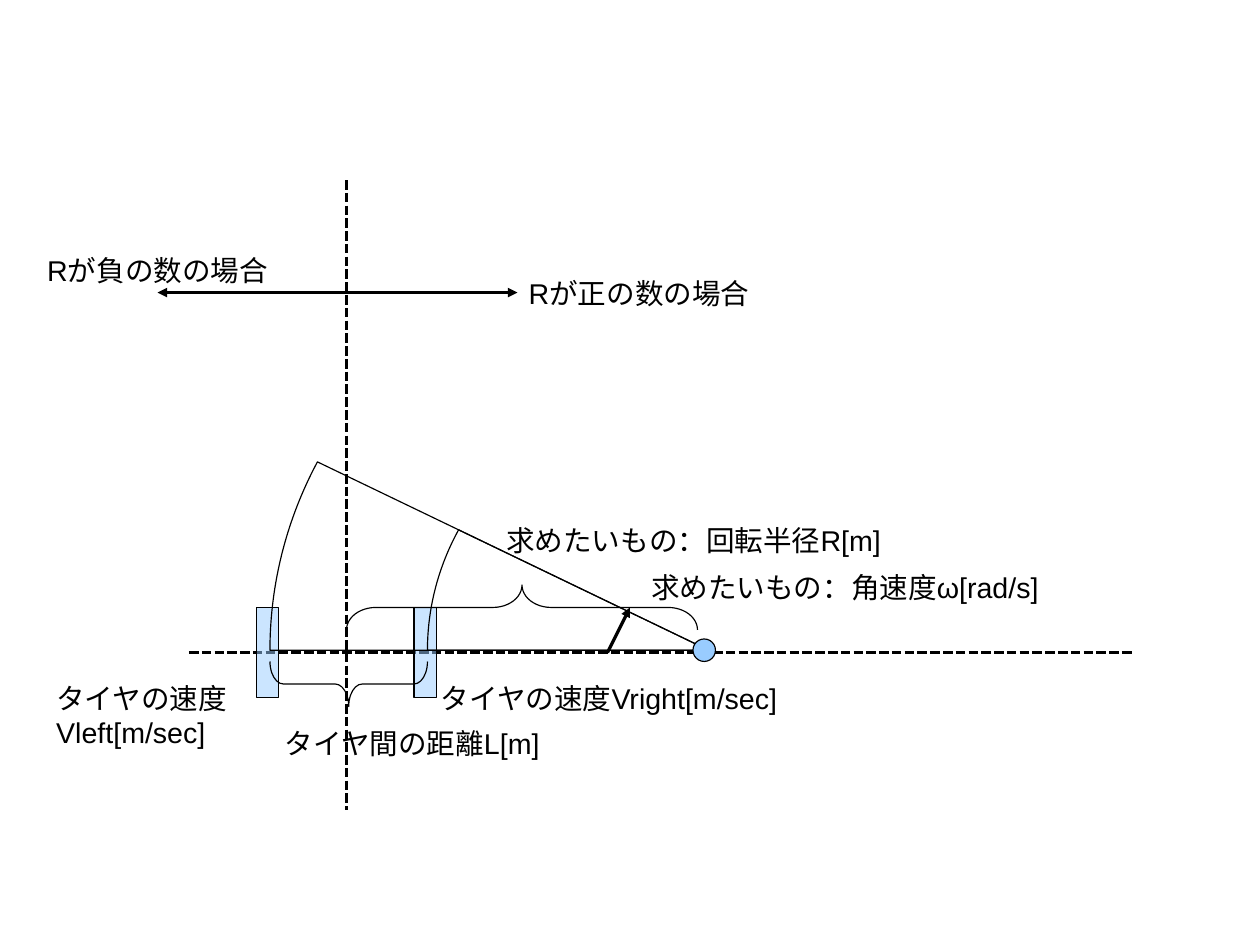
from lxml import etree
from pptx import Presentation
from pptx import util as u
from pptx.dml.color import RGBColor
from pptx.enum import dml, shapes, text
from pptx.oxml.ns import qn

SHAPE = shapes.MSO_SHAPE


def color(hex_code):
    return RGBColor.from_string(hex_code)


class Diagram:
    font = "Arial"
    size = u.Pt(18)
    ink = "000000"
    blue = "99CCFF"
    hairline = u.Pt(0)

    def __init__(self, slide):
        self.slide = slide

    def outline(self, item):
        item.line.color.rgb = color(self.ink)
        item.line.width = self.hairline

    def line(self, start, end, dashed=False, arrow=False):
        ends = [u.Cm(v) for v in (*start, *end)]
        connector = self.slide.shapes.add_connector(shapes.MSO_CONNECTOR.STRAIGHT, *ends)
        self.outline(connector)
        if dashed:
            connector.line.dash_style = dml.MSO_LINE.SQUARE_DOT
        if arrow:
            etree.SubElement(connector.line._get_or_add_ln(), qn("a:tailEnd"), type="triangle")
        etree.SubElement(connector._element.spPr, qn("a:effectLst"))

    def shape(self, kind, left, top, width, height, fill=None, opacity=100,
              adjustments=(), rotation=0):
        box = [u.Cm(v) for v in (left, top, width, height)]
        item = self.slide.shapes.add_shape(kind, *box)
        item.shadow.inherit = False
        item.rotation = rotation
        for i, value in enumerate(adjustments):
            item.adjustments[i] = value
        if fill:
            item.fill.solid()
            item.fill.fore_color.rgb = color(fill)
            if opacity < 100:
                tone = item._element.spPr.find(qn("a:solidFill"))[0]
                etree.SubElement(tone, qn("a:alpha"), val=str(opacity * 1000))
        else:
            item.fill.background()
        self.outline(item)

    def sector(self, center, radius_x, radius_y, sweep):
        """Draw a pie slice that opens clockwise from the left."""
        x, y = center
        # Angles are stored in 60000ths of a degree, adjustments in 100000ths
        angles = [degrees * 0.6 for degrees in (180, 180 + sweep)]
        self.shape(SHAPE.PIE, x - radius_x, y - radius_y, 2 * radius_x, 2 * radius_y,
                   adjustments=angles)

    def brace(self, left, top, length, depth, curve, rotation):
        """Draw a horizontal brace: rotation 90 points up, 270 points down."""
        self.shape(SHAPE.LEFT_BRACE, left + (length - depth) / 2, top + (depth - length) / 2,
                   depth, length, adjustments=(curve, 0.5), rotation=rotation)

    def label(self, words, left, top, width, height=1.17, wrap=False):
        box = [u.Cm(v) for v in (left, top, width, height)]
        frame = self.slide.shapes.add_textbox(*box).text_frame
        frame.word_wrap = wrap
        frame.auto_size = text.MSO_AUTO_SIZE.SHAPE_TO_FIT_TEXT
        paragraph = frame.paragraphs[0]
        paragraph.text = words
        paragraph.font.name = self.font
        paragraph.font.size = self.size
        paragraph.font.color.rgb = color(self.ink)


def main():
    deck = Presentation()
    deck.slide_width, deck.slide_height = u.Cm(28), u.Cm(21)
    diagram = Diagram(deck.slides.add_slide(deck.slide_layouts[6]))

    # Axes of the robot
    axis_x, axle_y = 7.7, 14.5
    diagram.line((axis_x, 4), (axis_x, 18), dashed=True)
    diagram.line((4.2, axle_y), (25.2, axle_y), dashed=True)

    # Wheels
    for wheel_left in (5.7, 9.2):
        diagram.shape(SHAPE.RECTANGLE, wheel_left, 13.5, 0.5, 2, diagram.blue, opacity=50)

    # Paths of the wheels around the turning centre
    turning_center = (15.75, 14.45)
    for radius_x, radius_y in ((9.75, 9.25), (6.25, 5.85)):
        diagram.sector(turning_center, radius_x, radius_y, sweep=25.7)

    # Angular velocity
    diagram.line((13.5, axle_y), (14, 13.5), arrow=True)
    diagram.label("求めたいもの：角速度ω[rad/s]", 14.22, 12.55, 9.3)

    # Wheel speeds
    diagram.label("タイヤの速度Vleft[m/sec]", 1, 15, 4.57, 1.88, wrap=True)
    diagram.label("タイヤの速度Vright[m/sec]", 9.55, 15, 8.15)

    # Wheel distance and turning radius
    diagram.brace(6, 14.7, length=3.5, depth=1, curve=0.3, rotation=270)
    diagram.brace(axis_x, 13, length=7.8, depth=1, curve=0.65, rotation=90)
    diagram.shape(SHAPE.OVAL, 15.4, 14.2, 0.5, 0.5, diagram.blue)
    diagram.label("求めたいもの：回転半径R[m]", 11, 11.5, 9.02)
    diagram.label("タイヤ間の距離L[m]", 6.08, 16, 6.35)

    # Sign of the radius
    sign_y = 6.5
    for tip_x, words, left, top in ((11.5, "Rが正の数の場合", 11.5, 6),
                                    (3.5, "Rが負の数の場合", 0.8, 5.5)):
        diagram.line((7.5, sign_y), (tip_x, sign_y), arrow=True)
        diagram.label(words, left, top, 5.55)

    deck.save("out.pptx")


if __name__ == "__main__":
    main()
